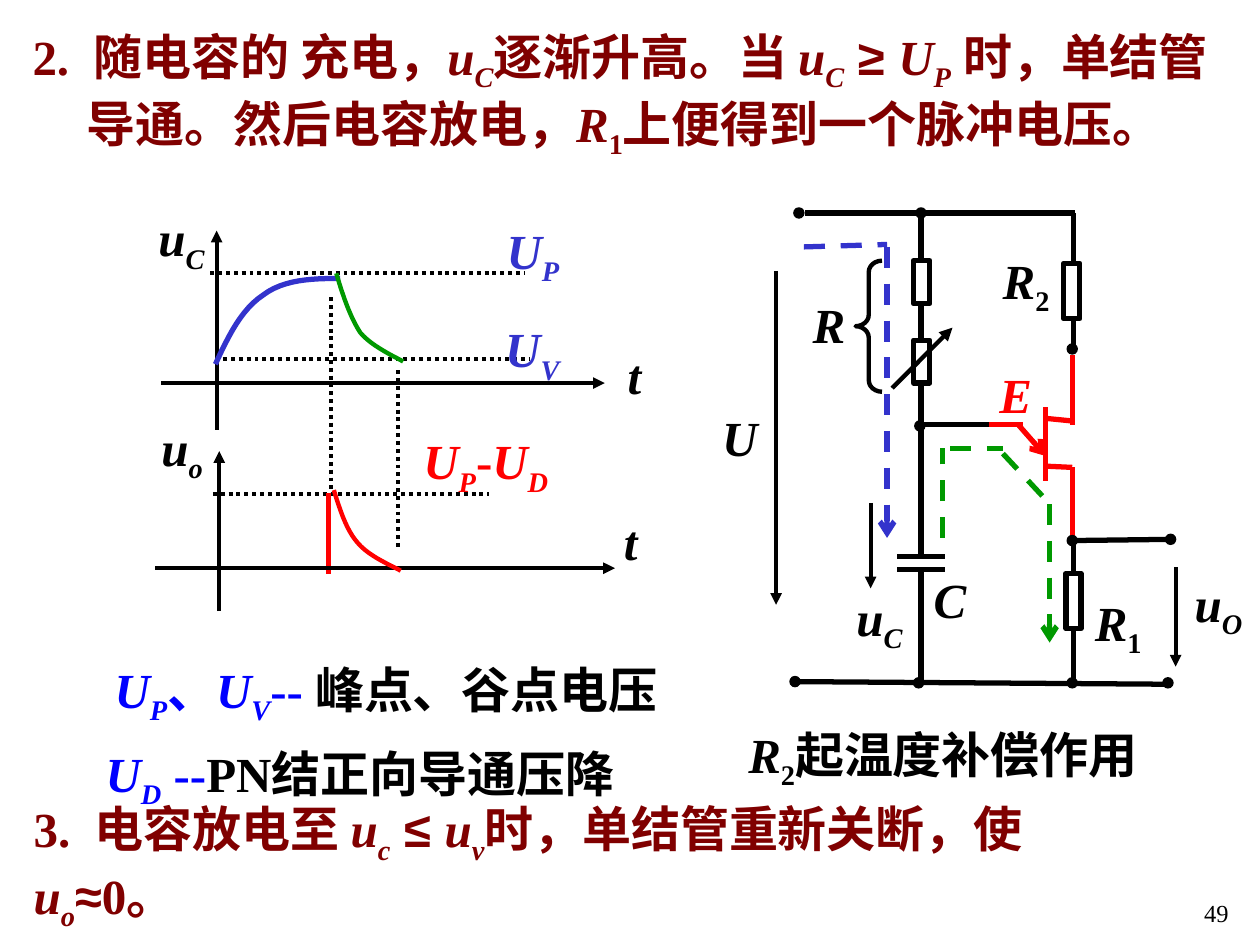
"""Build the slide on capacitor charging and discharge in a unijunction transistor circuit."""
import pptx
import pptx.util
import pptx.dml.color
import pptx.enum.dml
import pptx.enum.shapes
import pptx.enum.text
import pptx.oxml

Pt = pptx.util.Pt
rgb = pptx.dml.color.RGBColor.from_string
MSO = pptx.enum.shapes.MSO_SHAPE
DASH = pptx.enum.dml.MSO_LINE.DASH
DOT = pptx.enum.dml.MSO_LINE.ROUND_DOT
ALIGN = pptx.enum.text.PP_ALIGN
BLACK, RED, GREEN, VIOLET = "000000", "FF0000", "009900", "3333CC"
BLUE, MAROON = "0000FF", "800000"

prs = pptx.Presentation()
prs.slide_width, prs.slide_height = Pt(720), Pt(540)
s = prs.slides.add_slide(prs.slide_layouts[6])


def add_line(color, width, dash, arrow, x1, y1, x2, y2):
    """Draw a straight line, with an arrowhead at its end if one is named."""
    sp = s.shapes.add_connector(pptx.enum.shapes.MSO_CONNECTOR.STRAIGHT,
                                Pt(x1), Pt(y1), Pt(x2), Pt(y2))
    sp.line.color.rgb = rgb(color)
    sp.line.width = Pt(width)
    if dash:
        sp.line.dash_style = dash
    if arrow:
        sp.line._get_or_add_ln().append(pptx.oxml.parse_xml(
            '<a:tailEnd xmlns:a="http://schemas.openxmlformats.org/drawingml/2006/main"'
            f' type="{arrow}"/>'))
    sp._element.spPr.append(pptx.oxml.xmlchemy.OxmlElement("a:effectLst"))


def add_text(x, y, w, h, color, runs, align=ALIGN.LEFT, wrap=False):
    """Add bold text; flags: i italic, s subscript, a Arial, g wide gap."""
    tf = s.shapes.add_textbox(Pt(x), Pt(y), Pt(w), Pt(h)).text_frame
    tf.word_wrap = wrap
    tf.vertical_anchor = pptx.enum.text.MSO_ANCHOR.MIDDLE
    p = tf.paragraphs[0]
    p.alignment = align
    p.font.size, p.font.bold, p.font.name = Pt(28), True, "Times New Roman"
    p.font.color.rgb = rgb(color)
    for text, flags, *run_color in runs:
        if text == "\n":
            p.add_line_break()
            continue
        r = p.add_run()
        r.text = text
        if "i" in flags:
            r.font.italic = True
        if "a" in flags:
            r.font.name = "Arial"
        if "s" in flags:
            r._r.get_or_add_rPr().set("baseline", "-25000")
        if "g" in flags:
            r._r.get_or_add_rPr().set("spc", "700")
        if run_color:
            r.font.color.rgb = rgb(run_color[0])
    return p


strokes = [
    (VIOLET, 3, DASH, None, [(459.4, 141.1, 506.9, 139.7)]),
    (VIOLET, 3, DASH, "arrow", [(506.9, 141.1, 506.9, 307.4)]),
    (GREEN, 3, DASH, None, [(538.6, 307.4, 538.6, 256.3), (542.9, 256.3, 573.1, 256.3),
                            (573.1, 259.2, 601.2, 289.4)]),
    (GREEN, 3, DASH, "arrow", [(599.8, 288, 599.8, 367.2)]),
    (BLACK, 2.25, DOT, None, [(189.4, 169.9, 189.4, 279.4), (227.5, 211.7, 227.5, 314.6),
                              (120.2, 156.2, 300.2, 156.2), (123.1, 205.2, 303.1, 205.2),
                              (121.7, 282.2, 279.4, 282.2)]),
    (RED, 3, None, None, [(187.9, 281.5, 187.9, 328.3), (597.6, 232.6, 597.6, 275),
                          (558.7, 242.6, 584.6, 242.6), (596.9, 239, 612, 240.5),
                          (597.6, 266.4, 612.7, 267.1), (612.7, 203, 612.7, 242.6),
                          (612.7, 267.1, 612.7, 306.7)]),
    (RED, 3, None, "arrow", [(581.8, 242.6, 597.6, 260.6)]),
    (BLACK, 3, None, None, [(613.4, 121.7, 613.4, 197.3), (613.4, 310.3, 613.4, 390.2),
                            (526.3, 121, 526.3, 318.2), (460.1, 121.7, 614.2, 121.7),
                            (666, 391, 452.9, 389.5), (565.2, 242.6, 527.8, 242.6),
                            (512.6, 318.2, 540, 318.2), (512.6, 325.4, 540, 325.4),
                            (526.3, 325.4, 526.3, 391), (612, 308.9, 671, 308.2)]),
    (BLACK, 2.25, None, "triangle", [(443.5, 154.8, 443.5, 345.6), (497.5, 287.3, 497.5, 336.2),
                                     (671.8, 324, 671.8, 380.9), (92.2, 218.9, 345.6, 218.9),
                                     (123.8, 245.5, 123.8, 131.8), (125.3, 349.2, 125.3, 257.8),
                                     (88.6, 324.7, 351.4, 324.7)]),
]
for color, width, dash, arrow, lines in strokes:
    for ends in lines:
        add_line(color, width, dash, arrow, *ends)

curves = [
    (VIOLET, 3, [(123.1, 208.1), (130.3, 192.2), (138.2, 176.4), (150.5, 168.5),
                 (162, 159.8), (177.8, 159.1), (194.4, 159.1)]),
    (GREEN, 2.5, [(192.2, 156.2), (195.8, 168.5), (200.2, 181.4), (205.9, 190.1),
                  (212.4, 198), (226.8, 204.5), (230.4, 206.6)]),
    (RED, 2.5, [(190.8, 280.1), (194.4, 291.6), (198, 303.1), (204.5, 310.3),
                (211, 318.2), (225.4, 324), (229, 326.2)]),
]
for color, width, knots in curves:
    points = []
    for k in (0, 3):
        for t in [n / 12 for n in range(13)]:
            weights = ((1 - t) ** 3, 3 * t * (1 - t) ** 2, 3 * t * t * (1 - t), t ** 3)
            points.append([Pt(sum(c * knot[axis] for c, knot in zip(weights, knots[k:k + 4])))
                           for axis in (0, 1)])
    fb = s.shapes.build_freeform(*points[0], scale=1.0)
    fb.add_line_segments(points[1:], close=False)
    sp = fb.convert_to_shape()
    sp.shadow.inherit = False
    sp.fill.background()
    sp.line.color.rgb, sp.line.width = rgb(color), Pt(width)

resistors = [(607.7, 150.5, 9.4, 31.7), (609.1, 327.6, 8.6, 31.7),
             (522, 149, 9.4, 24.5), (522, 194.4, 9.4, 24.5)]
nodes = [(612.7, 308.9), (612.7, 199.4), (525.6, 243.4), (524.9, 390.2), (526.3, 121.7),
         (454.3, 389.5), (456.5, 121.7), (612.7, 390.2), (668.9, 308.2), (667.4, 390.2)]
parts = [(MSO.RECTANGLE, "FFFFFF", 3, box) for box in resistors]
parts += [(MSO.OVAL, BLACK, 0.75, (x - 2.9, y - 2.9, 5.8, 5.8)) for x, y in nodes]
parts.append((MSO.LEFT_BRACE, None, 2.5, (488.9, 149, 15.1, 74.9)))
for kind, fill, width, box in parts:
    sp = s.shapes.add_shape(kind, *[Pt(v) for v in box])
    sp.shadow.inherit = False
    sp.line.color.rgb, sp.line.width = rgb(BLACK), Pt(width)
    if fill:
        sp.fill.solid()
        sp.fill.fore_color.rgb = rgb(fill)
    else:
        sp.fill.background()
        sp.adjustments[0] = 0.43
add_line(BLACK, 2.5, None, "triangle", 509.8, 221.8, 544.3, 187.2)

labels = [
    (282.2, 122.4, 44.6, 45.4, VIOLET, [("U", "i"), ("P", "is")]),
    (281.5, 178.6, 45.4, 45.4, VIOLET, [("U", "i"), ("V", "is")]),
    (234.7, 242.6, 85.7, 45.4, RED, [("U", "i"), ("P", "is"), ("-", ""), ("U", "i"), ("D", "is")]),
    (563.8, 204.5, 33.1, 41, RED, [("E", "i")]),
    (565.9, 139.7, 41, 45.4, BLACK, [("R", "i"), ("2", "s")]),
    (618.5, 334.8, 41, 45.4, BLACK, [("R", "i"), ("1", "s")]),
    (457.2, 164.9, 33.1, 41, BLACK, [("R", "i")]),
    (526.3, 321.8, 33.1, 41, BLACK, [("C", "i")]),
    (405.4, 229, 34.6, 41, BLACK, [("U", "i")]),
    (480.6, 331.9, 44, 45.4, BLACK, [("u", "i"), ("C", "is")]),
    (675.4, 324, 41.8, 45.4, BLACK, [("u", "i"), ("O", "is")]),
    (81.7, 115.2, 44, 45.4, BLACK, [("u", "i"), ("C", "is")]),
    (85, 234.7, 38.2, 45.4, BLACK, [("u", "i"), ("o", "is")]),
    (351.4, 193.7, 22.3, 41, BLACK, [("t", "i")]),
    (349.2, 288.7, 22.3, 41, BLACK, [("t", "i")]),
    (48.2, 373, 344.9, 45.4, BLUE, [("U", "i"), ("P", "is"), ("、", ""), ("U", "i"), ("V", "is"),
                                    ("-- ", ""), ("峰点、谷点电压", "", BLACK)]),
]
for label in labels:
    add_text(*label, align=ALIGN.CENTER)

add_text(53.3, 421.2, 311.8, 45.4, BLUE,
         [("U", "i"), ("D", "is"), (" --", ""), ("PN结正向导通压降", "", BLACK)])
add_text(420.5, 410.4, 243.4, 45.4, BLACK, [("R", "i"), ("2", "s"), ("起温度补偿作用", "")])

p = add_text(11.5, 11.5, 704.2, 83.5, MAROON, [
    ("2.", ""), (" ", "g"), ("随电容的 充电，", ""), ("u", "i"), ("C", "is"), ("逐渐升高。当 ", ""),
    ("u", "i"), ("C", "is"), (" ≥ ", "a"), ("U", "i"), ("P", "is"),
    (" 时，单结管导通。然后电容放电，", ""), ("R", "i"), ("1", "s"),
    ("上便得到一个脉冲电压。", "")], wrap=True)
p._p.pPr.set("marL", str(Pt(31)))
p._p.pPr.set("indent", str(-Pt(31)))

add_text(12.2, 452.9, 691.9, 83.5, MAROON, [
    ("3.", ""), (" ", "g"), ("电容放电至 ", ""), ("u", "i"), ("c", "is"), (" ≤ ", "a"),
    ("u", "i"), ("v", "is"), ("时，单结管重新关断，使", ""), ("\n", ""),
    ("u", "i"), ("o", "is"), ("≈", "a"), ("0。", "")], wrap=True)

p = add_text(559.4, 509.8, 149.8, 24, BLACK, [("49", "")], align=ALIGN.RIGHT, wrap=True)
p.font.size, p.font.bold = Pt(14), False

prs.save("out.pptx")
